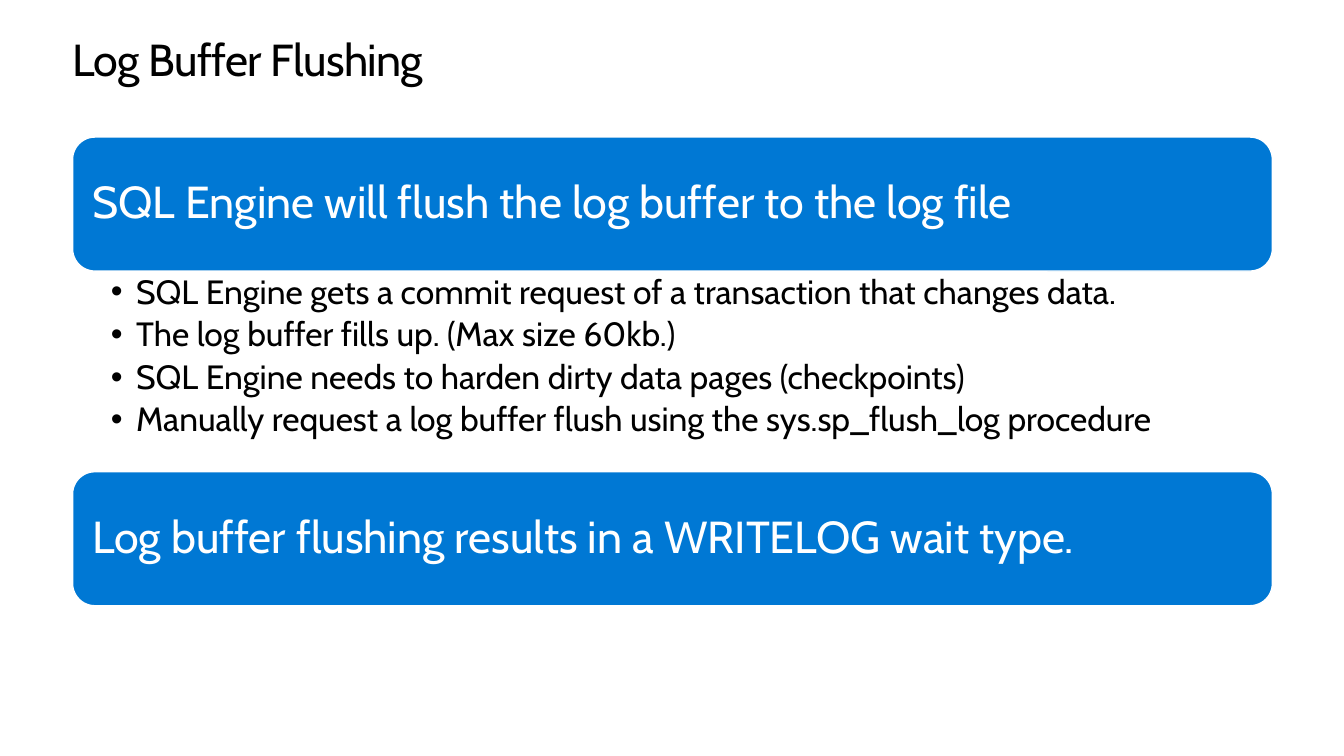
from lxml import etree
from pptx import Presentation
from pptx.dml.color import RGBColor
from pptx.enum.shapes import MSO_SHAPE as SHAPE
from pptx.enum.text import MSO_ANCHOR as ANCHOR, PP_ALIGN as ALIGN
from pptx.oxml.ns import qn
from pptx.util import Inches, Pt

FONT = "Cabin"
BLACK, WHITE, BLUE = "000000", "FFFFFF", "0078D4"
LEFT, WIDTH = 0.72, 11.9
BAND_HEIGHT, LIST_HEIGHT = 1.33, 1.95

REASONS = [
    "SQL Engine gets a commit request of a transaction that changes data.",
    "The log buffer fills up. (Max size 60kb.)",
    "SQL Engine needs to harden dirty data pages (checkpoints)",
    "Manually request a log buffer flush using the sys.sp_flush_log procedure",
]


def rgb(value):
    return RGBColor.from_string(value)


def set_frame(tf, left, top, right, bottom, anchor=ANCHOR.TOP):
    tf.word_wrap = True
    tf.vertical_anchor = anchor
    tf.margin_left, tf.margin_top = Inches(left), Inches(top)
    tf.margin_right, tf.margin_bottom = Inches(right), Inches(bottom)


def write(p, text, size, color, spacing=0.9):
    """Fill a paragraph with one left-aligned run and return the run."""
    p.alignment = ALIGN.LEFT
    p.line_spacing = spacing
    r = p.add_run()
    r.text = text
    r.font.name, r.font.size = FONT, Pt(size)
    r.font.color.rgb = rgb(color)
    return r


def add_bullet(p, indent):
    pPr = p._p.get_or_add_pPr()
    pPr.set("marL", str(Inches(indent)))
    pPr.set("indent", str(Inches(-indent)))
    etree.SubElement(pPr, qn("a:buFont"), typeface="Arial")
    etree.SubElement(pPr, qn("a:buChar"), char="•")


def add_title(slide, left, top, width, height, text):
    sp = slide.shapes.add_textbox(*map(Inches, (left, top, width, height)))
    set_frame(sp.text_frame, 0, 0, 0, 0)
    r = write(sp.text_frame.paragraphs[0], text, 32, BLACK, Pt(36.2))
    r._r.get_or_add_rPr().set("spc", "-50")


def add_band(slide, left, top, width, height, text):
    sp = slide.shapes.add_shape(SHAPE.ROUNDED_RECTANGLE, *map(Inches, (left, top, width, height)))
    sp.shadow.inherit = False
    sp.fill.solid()
    sp.fill.fore_color.rgb = rgb(BLUE)
    sp.line.color.rgb = rgb(WHITE)
    sp.line.width = Pt(1)
    set_frame(sp.text_frame, 0.13, 0.13, 0.13, 0.13, ANCHOR.MIDDLE)
    write(sp.text_frame.paragraphs[0], text, 32, WHITE)


def add_bullet_list(slide, left, top, width, height, items):
    sp = slide.shapes.add_textbox(*map(Inches, (left, top, width, height)))
    tf = sp.text_frame
    set_frame(tf, 0.38, 0.03, 0.19, 0.03)
    for i, item in enumerate(items):
        p = tf.add_paragraph() if i else tf.paragraphs[0]
        write(p, item, 24, BLACK)
        p.space_after = Pt(4.5)
        add_bullet(p, 0.25)


def main():
    prs = Presentation()
    prs.slide_width, prs.slide_height = Inches(13.33), Inches(7.5)
    slide = prs.slides.add_slide(prs.slide_layouts[6])

    add_title(slide, LEFT, 0.35, WIDTH, 0.5, "Log Buffer Flushing")
    add_band(slide, LEFT, 1.36, WIDTH, BAND_HEIGHT,
             "SQL Engine will flush the log buffer to the log file")
    add_bullet_list(slide, LEFT, 2.7, WIDTH, LIST_HEIGHT, REASONS)
    add_band(slide, LEFT, 4.68, WIDTH, BAND_HEIGHT,
             "Log buffer flushing results in a WRITELOG wait type.")

    prs.save("out.pptx")


if __name__ == "__main__":
    main()
